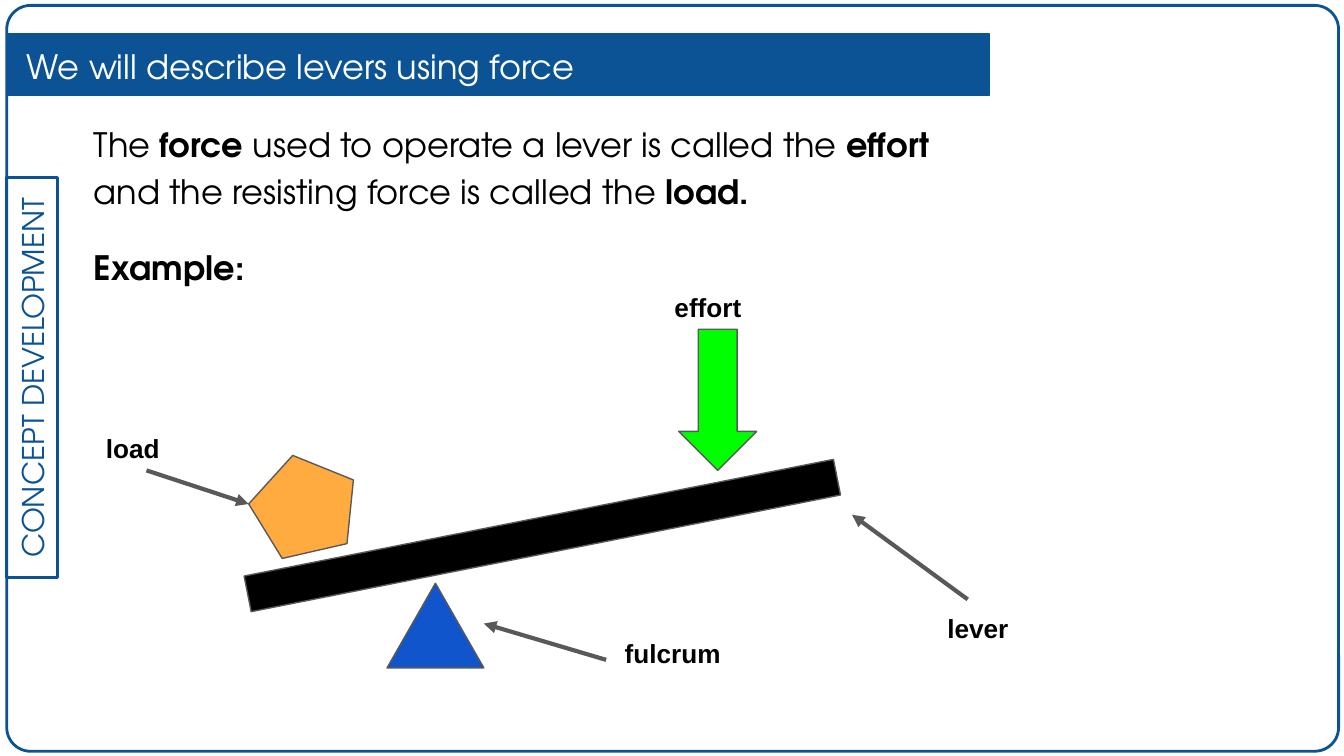
"""Build a slide that explains effort, load and fulcrum on a lever."""
from dataclasses import dataclass
from typing import Optional

from lxml import etree
from pptx import Presentation
from pptx import util as u
from pptx.dml.color import RGBColor
from pptx.enum import shapes, text
from pptx.oxml import ns


@dataclass(frozen=True)
class Theme:
    navy: str = "0B5394"
    white: str = "FFFFFF"
    black: str = "000000"
    grey: str = "595959"
    orange: str = "FFAB40"
    blue: str = "1155CC"
    green: str = "00FF00"
    body_font: str = "TeX Gyre Adventor"
    label_font: str = "Arial"
    body_size: float = 18
    tab_size: float = 16
    label_size: float = 14
    thin: float = 0.75
    frame: float = 1.5
    pointer: float = 2.25


THEME = Theme()
KIND = shapes.MSO_SHAPE
SLIDE_WIDTH = 10
SLIDE_HEIGHT = SLIDE_WIDTH * 9 / 16


@dataclass(frozen=True)
class Figure:
    kind: shapes.MSO_SHAPE
    left: float
    top: float
    width: float
    height: float
    fill: Optional[str] = None
    line: str = THEME.grey
    weight: float = THEME.thin
    rotation: float = 0
    corner: Optional[float] = None


@dataclass(frozen=True)
class Label:
    words: str
    left: float
    top: float
    width: float = 1.45


@dataclass(frozen=True)
class Pointer:
    start_x: float
    start_y: float
    end_x: float
    end_y: float


FRAME = Figure(KIND.ROUNDED_RECTANGLE, 0.05, 0.04, 9.91, 5.55,
               line=THEME.navy, weight=THEME.frame, corner=0.032)
TAB = Figure(KIND.RECTANGLE, -1.25, 2.62, 2.98, 0.38,
             line=THEME.navy, weight=THEME.frame, rotation=270)
BANNER = Figure(KIND.RECTANGLE, 0.05, 0.25, 7.31, 0.46, THEME.navy, THEME.navy)
LEVER_PARTS = (
    Figure(KIND.FLOWCHART_PROCESS, 1.8, 3.85, 4.47, 0.27, THEME.black, rotation=348.8),
    Figure(KIND.REGULAR_PENTAGON, 1.86, 3.38, 0.8, 0.73, THEME.orange, rotation=347.1),
    Figure(KIND.ISOSCELES_TRIANGLE, 2.88, 4.34, 0.72, 0.63, THEME.blue),
    Figure(KIND.DOWN_ARROW, 5.05, 2.45, 0.58, 1.05, THEME.green),
)
LABELS = (
    Label("lever", 6.95, 4.46),
    Label("load", 0.69, 3.12, 1.13),
    Label("fulcrum", 4.55, 4.64),
    Label("effort", 4.92, 2.07),
)
POINTERS = (
    Pointer(7.2, 4.46, 6.34, 3.83),
    Pointer(1.09, 3.5, 1.85, 3.75),
    Pointer(4.51, 4.91, 3.6, 4.64),
)
STATEMENT = ("The *force* used to operate a lever is called the *effort *"
             "and the resisting force is called the *load.*")


def rgb(code: str) -> RGBColor:
    return RGBColor.from_string(code)


def draw_figure(page, figure: Figure):
    shape = page.shapes.add_shape(
        figure.kind, u.Inches(figure.left), u.Inches(figure.top),
        u.Inches(figure.width), u.Inches(figure.height))
    shape.shadow.inherit = False
    shape.rotation = figure.rotation
    if figure.corner is not None:
        shape.adjustments[0] = figure.corner
    if figure.fill:
        shape.fill.solid()
        shape.fill.fore_color.rgb = rgb(figure.fill)
    else:
        shape.fill.background()
    shape.line.color.rgb = rgb(figure.line)
    shape.line.width = u.Pt(figure.weight)
    return shape


def write(shape, *lines: str, size: float, font: str = THEME.body_font,
          color: str = THEME.black, anchor=text.MSO_ANCHOR.TOP,
          align=text.PP_ALIGN.LEFT, spacing: float = 1.0, gap: float = 0) -> None:
    frame = shape.text_frame
    frame.word_wrap = True
    frame.vertical_anchor = anchor
    frame.margin_left = frame.margin_right = u.Inches(0.1)
    frame.margin_top = frame.margin_bottom = u.Inches(0.1)
    for index, line in enumerate(lines):
        para = frame.add_paragraph() if index else frame.paragraphs[0]
        para.alignment = align
        para.line_spacing = spacing
        para.space_before = u.Pt(gap if index else 0)
        for order, words in enumerate(line.split("*")):
            if words:
                span = para.add_run()
                span.text = words
                span.font.name = font
                span.font.size = u.Pt(size)
                span.font.bold = order % 2 == 1
                span.font.color.rgb = rgb(color)


def add_box(page, left: float, top: float, width: float, height: float):
    return page.shapes.add_textbox(
        u.Inches(left), u.Inches(top), u.Inches(width), u.Inches(height))


def draw_label(page, label: Label) -> None:
    box = add_box(page, label.left, label.top, label.width, 0.38)
    write(box, f"*{label.words}*", size=THEME.label_size, font=THEME.label_font)


def draw_pointer(page, pointer: Pointer) -> None:
    arrow = page.shapes.add_connector(
        shapes.MSO_CONNECTOR.STRAIGHT,
        u.Inches(pointer.start_x), u.Inches(pointer.start_y),
        u.Inches(pointer.end_x), u.Inches(pointer.end_y))
    arrow.line.color.rgb = rgb(THEME.grey)
    arrow.line.width = u.Pt(THEME.pointer)
    outline = arrow.get_or_add_ln()
    etree.SubElement(outline, ns.qn("a:tailEnd"), type="triangle")
    etree.SubElement(outline.getparent(), ns.qn("a:effectLst"))


def main() -> None:
    deck = Presentation()
    deck.slide_width = u.Inches(SLIDE_WIDTH)
    deck.slide_height = u.Inches(SLIDE_HEIGHT)
    page = deck.slides.add_slide(deck.slide_layouts[6])

    draw_figure(page, FRAME)
    write(draw_figure(page, TAB), "CONCEPT DEVELOPMENT", size=THEME.tab_size,
          color=THEME.navy, anchor=text.MSO_ANCHOR.MIDDLE, align=text.PP_ALIGN.CENTER)
    draw_figure(page, BANNER)
    write(add_box(page, 0.1, 0.28, 7.21, 0.38), "We will describe levers using force",
          size=THEME.body_size, color=THEME.white, anchor=text.MSO_ANCHOR.MIDDLE,
          spacing=1.15)
    write(add_box(page, 0.6, 0.78, 6.75, 4.6), STATEMENT, "*Example:*",
          size=THEME.body_size, spacing=1.15, gap=16)

    for part in LEVER_PARTS:
        draw_figure(page, part)
    for pointer in POINTERS:
        draw_pointer(page, pointer)
    for label in LABELS:
        draw_label(page, label)
    deck.save("out.pptx")


if __name__ == "__main__":
    main()
